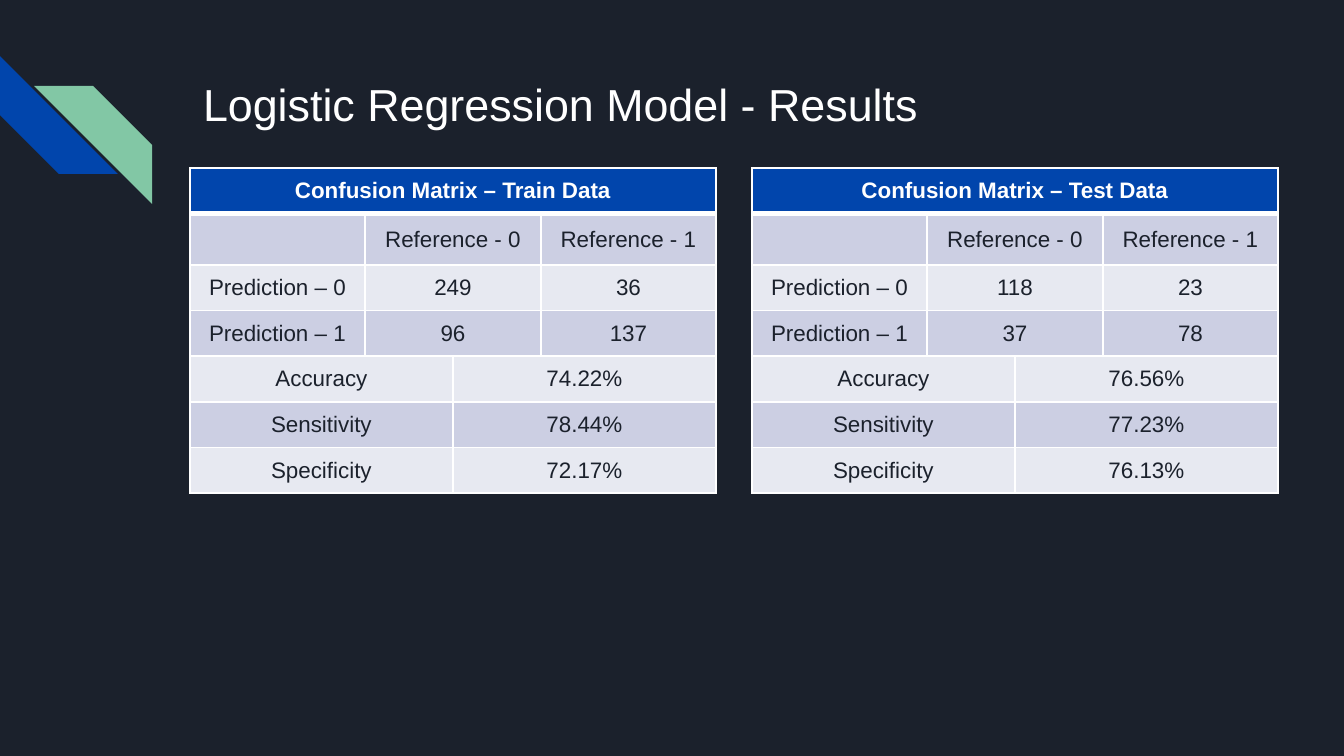
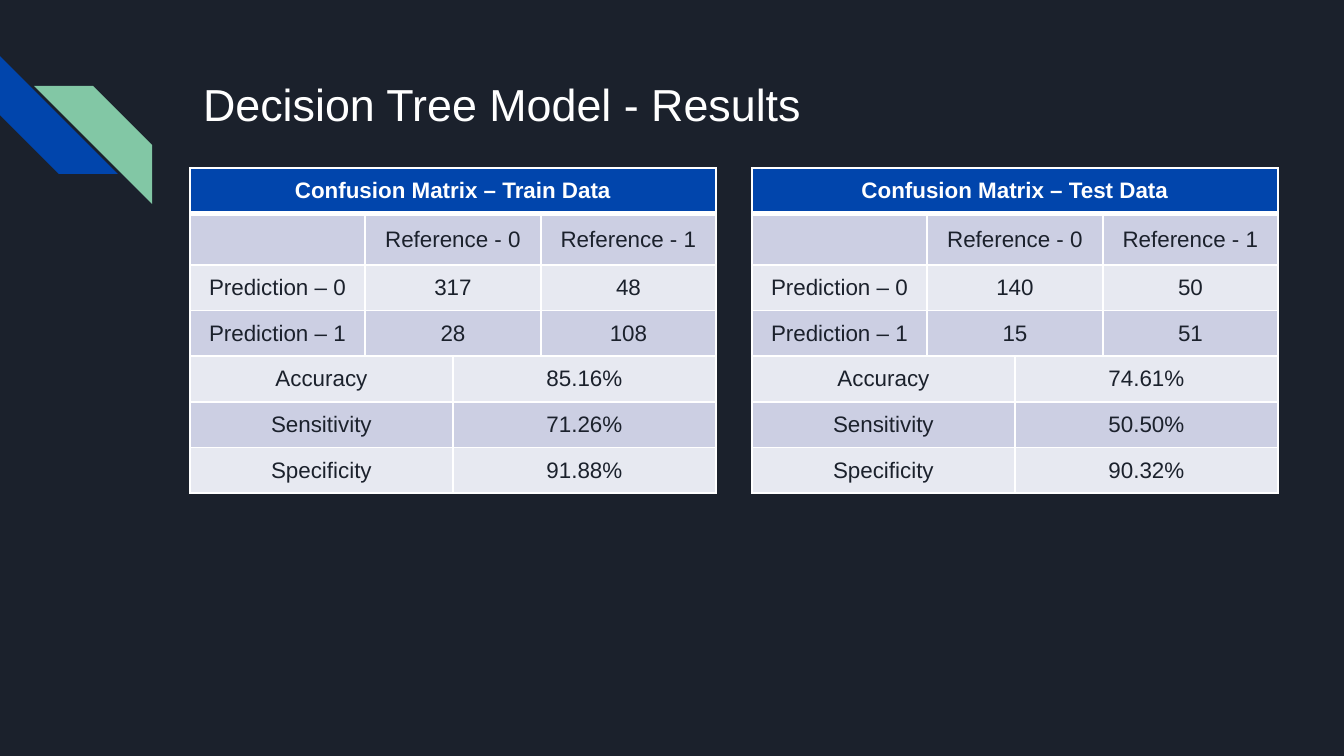
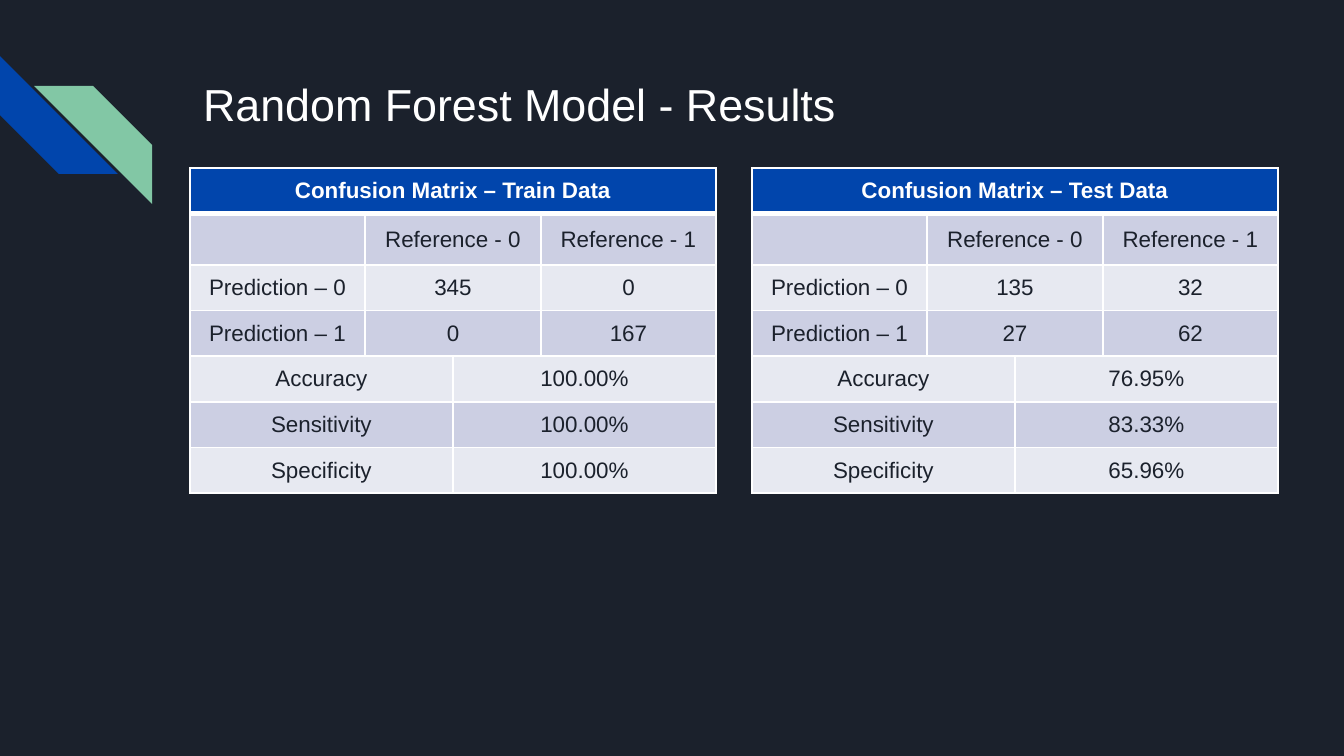
"""Build three slides of confusion matrices, one per model."""
from dataclasses import dataclass

from lxml.etree import SubElement
from pptx import Presentation
from pptx.dml.color import RGBColor
from pptx.enum.shapes import MSO_SHAPE
from pptx.enum.text import MSO_ANCHOR, PP_ALIGN
from pptx.oxml.ns import qn
from pptx.util import Emu, Pt


@dataclass(frozen=True)
class Theme:
    font: str = "Arial"
    dark: str = "1B212C"
    white: str = "FFFFFF"
    blue: str = "0145AC"
    green: str = "82C7A5"
    deep: str = "CCCFE3"
    pale: str = "E7E9F1"
    head: int = 24
    body: int = 12
    thin: int = 1
    thick: int = 3


theme = Theme()
SCALE = 9144000 / 1344


def px(*sizes):
    return [Emu(round(size * SCALE)) for size in sizes]


def put(frame, words, size=theme.body, color=theme.dark, bold=False,
        align=PP_ALIGN.CENTER, lead=1.0):
    para = frame.paragraphs[0]
    para.alignment = align
    para.line_spacing = lead
    run = para.add_run()
    run.text = words
    run.font.name = theme.font
    run.font.size = Pt(size)
    run.font.bold = bold
    run.font.color.rgb = RGBColor.from_string(color)


deck = Presentation()
deck.slide_width, deck.slide_height = px(1344, 756)
layout = deck.slide_layouts[5]
layout.background.fill.solid()
layout.background.fill.fore_color.rgb = RGBColor.from_string(theme.dark)
title = layout.placeholders[0]
title.left, title.top, title.width, title.height = px(190, 58, 1035, 134)

MODELS = {
    "Logistic Regression": {
        "Train": ("249", "36", "96", "137", "74.22%", "78.44%", "72.17%"),
        "Test": ("118", "23", "37", "78", "76.56%", "77.23%", "76.13%"),
    },
    "Decision Tree": {
        "Train": ("317", "48", "28", "108", "85.16%", "71.26%", "91.88%"),
        "Test": ("140", "50", "15", "51", "74.61%", "50.50%", "90.32%"),
    },
    "Random Forest": {
        "Train": ("345", "0", "0", "167", "100.00%", "100.00%", "100.00%"),
        "Test": ("135", "32", "27", "62", "76.95%", "83.33%", "65.96%"),
    },
}
STARTS = {1: (0,), 2: (0, 2), 3: (0, 1, 3)}
COLS = (175, 88, 88, 175)
LEFT, TOP, STEP, HIGH = 190, 168, 562, 320

for model, sets in MODELS.items():
    slide = deck.slides.add_slide(layout)
    frame = slide.shapes.title.text_frame
    frame.word_wrap = True
    frame.vertical_anchor = MSO_ANCHOR.TOP
    frame.margin_left, frame.margin_right = px(13, 13)
    frame.margin_top, frame.margin_bottom = px(13, 13)
    put(frame, f"{model} Model - Results", size=theme.head,
        color=theme.white, align=PP_ALIGN.LEFT, lead=1.1)

    for side, (name, vals) in enumerate(sets.items()):
        rows = (
            (f"Confusion Matrix – {name} Data",),
            ("", "Reference - 0", "Reference - 1"),
            ("Prediction – 0", *vals[:2]),
            ("Prediction – 1", *vals[2:4]),
            ("Accuracy", vals[4]),
            ("Sensitivity", vals[5]),
            ("Specificity", vals[6]),
        )
        box = px(LEFT + side * STEP, TOP, sum(COLS), HIGH)
        table = slide.shapes.add_table(len(rows), len(COLS), *box).table
        table.first_row = table.horz_banding = False
        for col, width in zip(table.columns, px(*COLS)):
            col.width = width

        for r, words in enumerate(rows):
            fill = theme.blue if r == 0 else theme.deep if r % 2 else theme.pale
            for cell in table.rows[r].cells:
                props = cell._tc.get_or_add_tcPr()
                for edge in "LRTB":
                    wide = (r, edge) in ((0, "B"), (1, "T"))
                    width = theme.thick if wide else theme.thin
                    line = SubElement(props, qn(f"a:ln{edge}"), w=str(Pt(width)))
                    solid = SubElement(line, qn("a:solidFill"))
                    SubElement(solid, qn("a:srgbClr"), val=theme.white)
                cell.fill.solid()
                cell.fill.fore_color.rgb = RGBColor.from_string(fill)
                cell.vertical_anchor = MSO_ANCHOR.MIDDLE

            starts = STARTS[len(words)]
            ends = (*starts[1:], len(COLS))
            for start, end, word in zip(starts, ends, words):
                cell = table.cell(r, start)
                if end - start > 1:
                    cell.merge(table.cell(r, end - 1))
                put(cell.text_frame, word, bold=r == 0,
                    color=theme.dark if r else theme.white)

for left, top, turn, color in ((0, 56, 270, theme.blue), (34, 86, 90, theme.green)):
    band = slide.shapes.add_shape(MSO_SHAPE.DIAGONAL_STRIPE, *px(left, top, 118, 118))
    band.rotation = turn
    band.shadow.inherit = False
    band.fill.solid()
    band.fill.fore_color.rgb = RGBColor.from_string(color)
    band.line.fill.background()
    layout.shapes._spTree.append(band._element)

deck.save("out.pptx")
